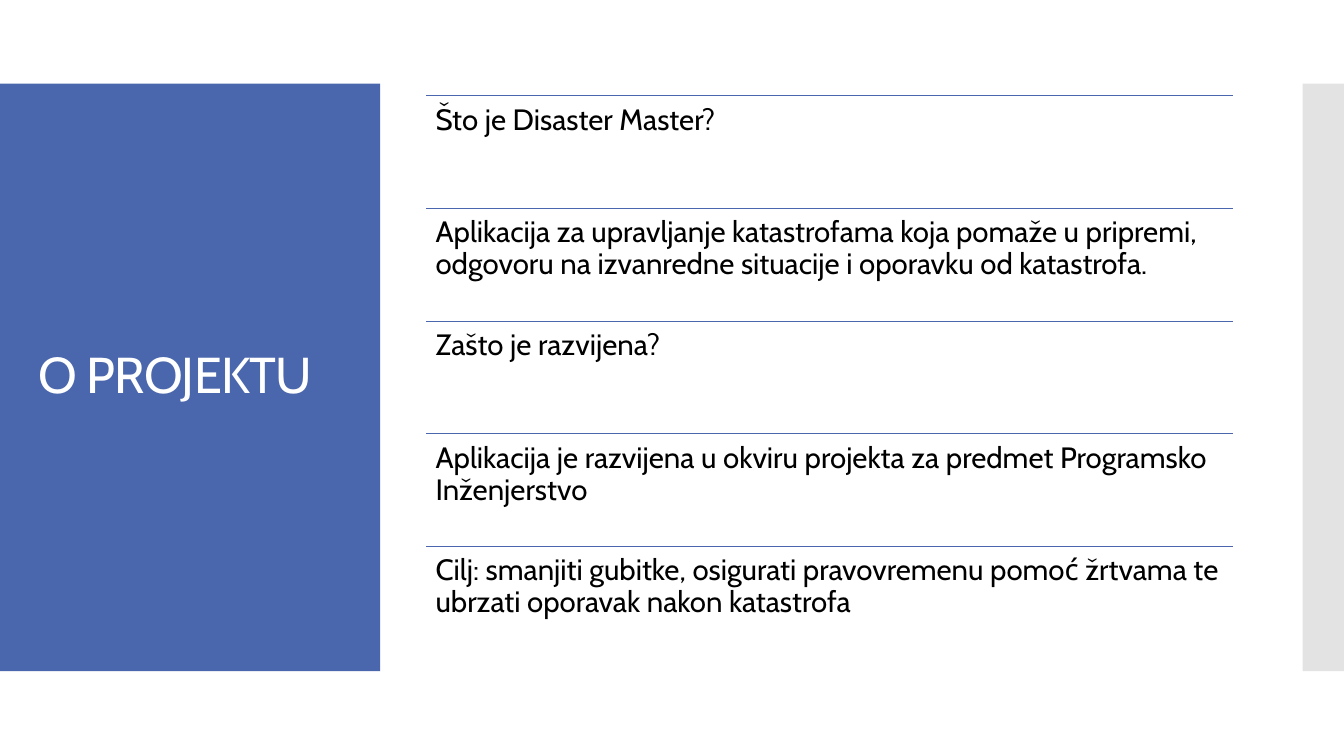
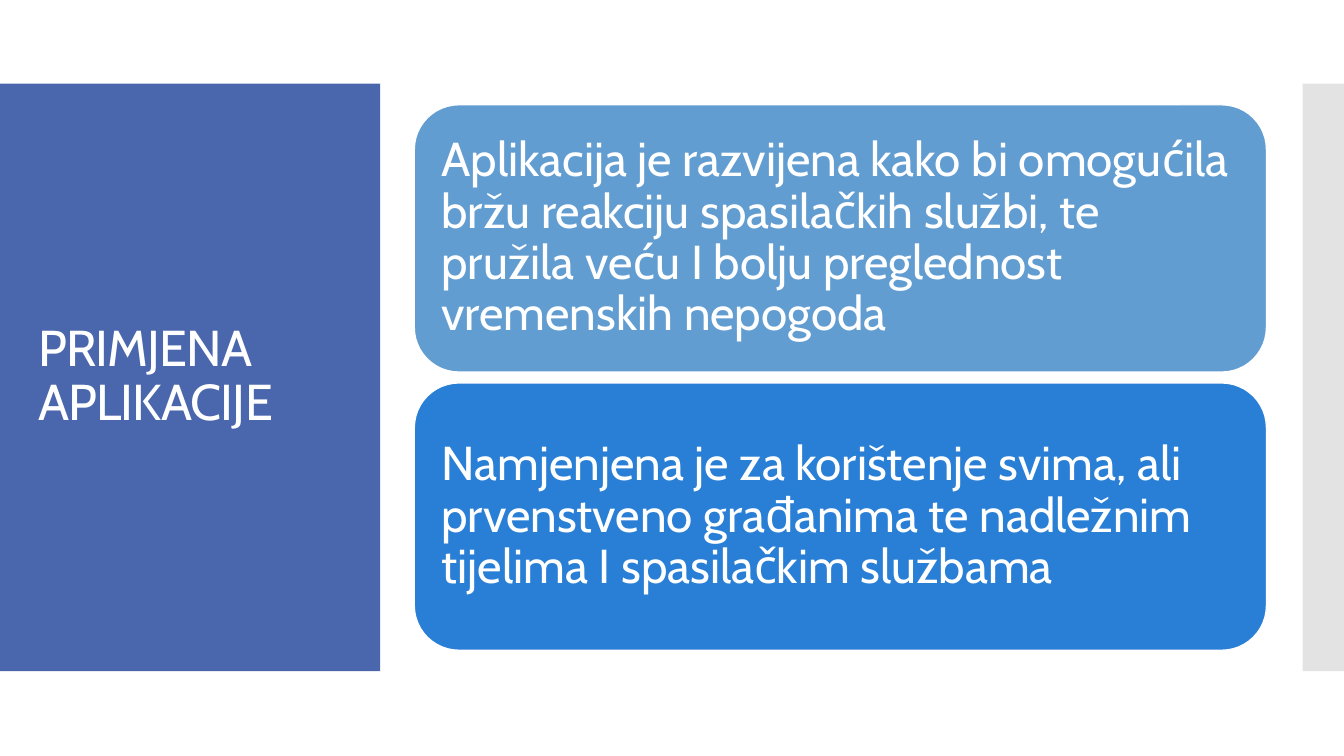
from lxml.etree import SubElement
from pptx import Presentation
from pptx.dml.color import RGBColor
from pptx.enum.shapes import MSO_CONNECTOR as CONN, MSO_SHAPE as SHAPE
from pptx.enum.text import MSO_ANCHOR as ANCHOR, PP_ALIGN as ALIGN
from pptx.oxml.ns import qn
from pptx.util import Inches, Pt

FONT = "Cabin"
WHITE, BLACK, GRAY = "FFFFFF", "000000", "E3E3E3"
INDIGO, SKY, BLUE = "4A66AC", "629DD1", "297FD5"
LINE_WIDTH = 0.85
BAND_TOP, BAND_HEIGHT = 0.83, 5.83


def rgb(color):
    return RGBColor.from_string(color)


class Deck:
    """Holds the shared style and the slide being built."""

    def __init__(self):
        self.prs = Presentation()
        self.prs.slide_width = Inches(13.33)
        self.prs.slide_height = Inches(7.5)
        self.s = None

    def new_slide(self, title):
        self.s = self.prs.slides.add_slide(self.prs.slide_layouts[6])
        self.box(SHAPE.RECTANGLE, 0, BAND_TOP, 3.77, BAND_HEIGHT, INDIGO)
        self.box(SHAPE.RECTANGLE, 12.92, BAND_TOP, 0.41, BAND_HEIGHT, GRAY)
        p = self.text(0.28, 1.23, 3.22, 5.03, title, 36, WHITE, 0.1, ANCHOR.MIDDLE)
        p.runs[0].font._element.set("spc", "-60")

    def box(self, kind, x, y, w, h, fill, line=None):
        sp = self.s.shapes.add_shape(kind, Inches(x), Inches(y), Inches(w), Inches(h))
        sp.shadow.inherit = False
        sp.fill.solid()
        sp.fill.fore_color.rgb = rgb(fill)
        if line:
            sp.line.color.rgb = rgb(line)
            sp.line.width = Pt(LINE_WIDTH)
        else:
            sp.line.fill.background()
        return sp

    def rule(self, x, y, w):
        line = self.s.shapes.add_connector(
            CONN.STRAIGHT, Inches(x), Inches(y), Inches(x + w), Inches(y))
        line.line.color.rgb = rgb(INDIGO)
        line.line.width = Pt(LINE_WIDTH)
        SubElement(line._element.spPr, qn("a:effectLst"))

    def text(self, x, y, w, h, text, size, color, inset, anchor=ANCHOR.TOP):
        sp = self.s.shapes.add_textbox(Inches(x), Inches(y), Inches(w), Inches(h))
        return self.set_text(sp, text, size, color, inset, anchor)

    def set_text(self, sp, text, size, color, inset, anchor):
        """Fill a shape with one left-aligned paragraph and return it."""
        tf = sp.text_frame
        tf.word_wrap = True
        tf.vertical_anchor = anchor
        tf.margin_left = tf.margin_right = Inches(inset)
        tf.margin_top = tf.margin_bottom = Inches(inset)
        p = tf.paragraphs[0]
        p.alignment = ALIGN.LEFT
        p.line_spacing = 0.9
        p.font.name = FONT
        p.font.size = Pt(size)
        p.font.color.rgb = rgb(color)
        p.add_run().text = text
        return p

    def ruled_list(self, x, y, w, h, items):
        """Divide the area into equal rows, each with a rule on top."""
        row_height = h / len(items)
        for i, item in enumerate(items):
            top = y + i * row_height
            self.rule(x, top, w)
            self.text(x, top, w, row_height, item, 21, BLACK, 0.09)

    def cards(self, x, y, w, h, gap, items):
        """Stack rounded cards from (fill, text) pairs."""
        for i, (fill, item) in enumerate(items):
            sp = self.box(SHAPE.ROUNDED_RECTANGLE, x, y + i * (h + gap), w, h, fill, WHITE)
            self.set_text(sp, item, 34, WHITE, 0.14, ANCHOR.MIDDLE)


def main():
    deck = Deck()

    deck.new_slide("O PROJEKTU")
    deck.ruled_list(4.23, 0.95, 8, 5.59, [
        "Što je Disaster Master?",
        "Aplikacija za upravljanje katastrofama koja pomaže u pripremi, "
        "odgovoru na izvanredne situacije i oporavku od katastrofa.",
        "Zašto je razvijena?",
        "Aplikacija je razvijena u okviru projekta za predmet Programsko Inženjerstvo",
        "Cilj: smanjiti gubitke, osigurati pravovremenu pomoć žrtvama te "
        "ubrzati oporavak nakon katastrofa",
    ])

    deck.new_slide("PRIMJENA APLIKACIJE")
    deck.cards(4.11, 1.04, 8.45, 2.65, 0.11, [
        (SKY, "Aplikacija je razvijena kako bi omogućila bržu reakciju spasilačkih "
              "službi, te pružila veću I bolju preglednost vremenskih nepogoda"),
        (BLUE, "Namjenjena je za korištenje svima, ali prvenstveno građanima te "
               "nadležnim tijelima I spasilačkim službama"),
    ])

    deck.prs.save("out.pptx")


if __name__ == "__main__":
    main()
